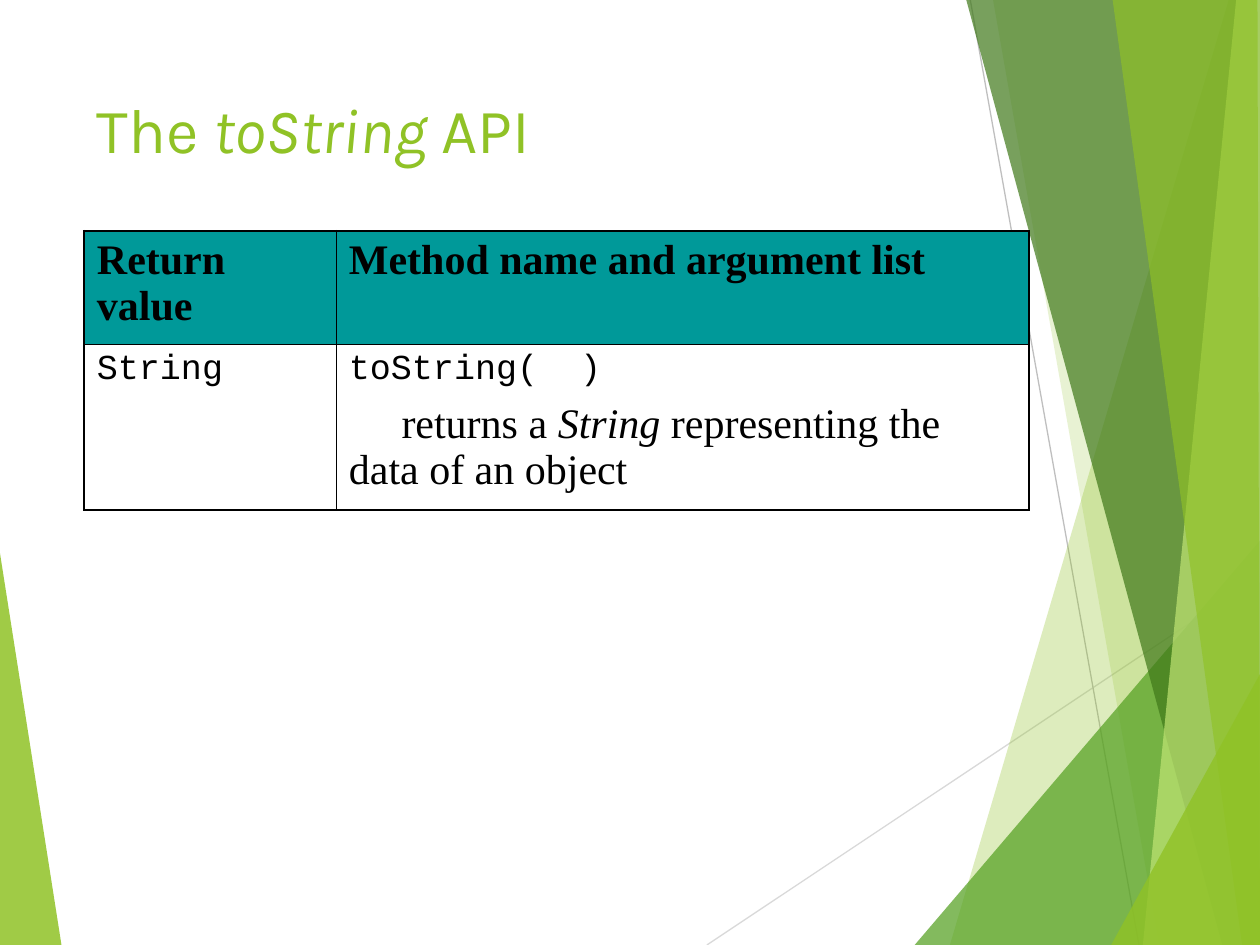
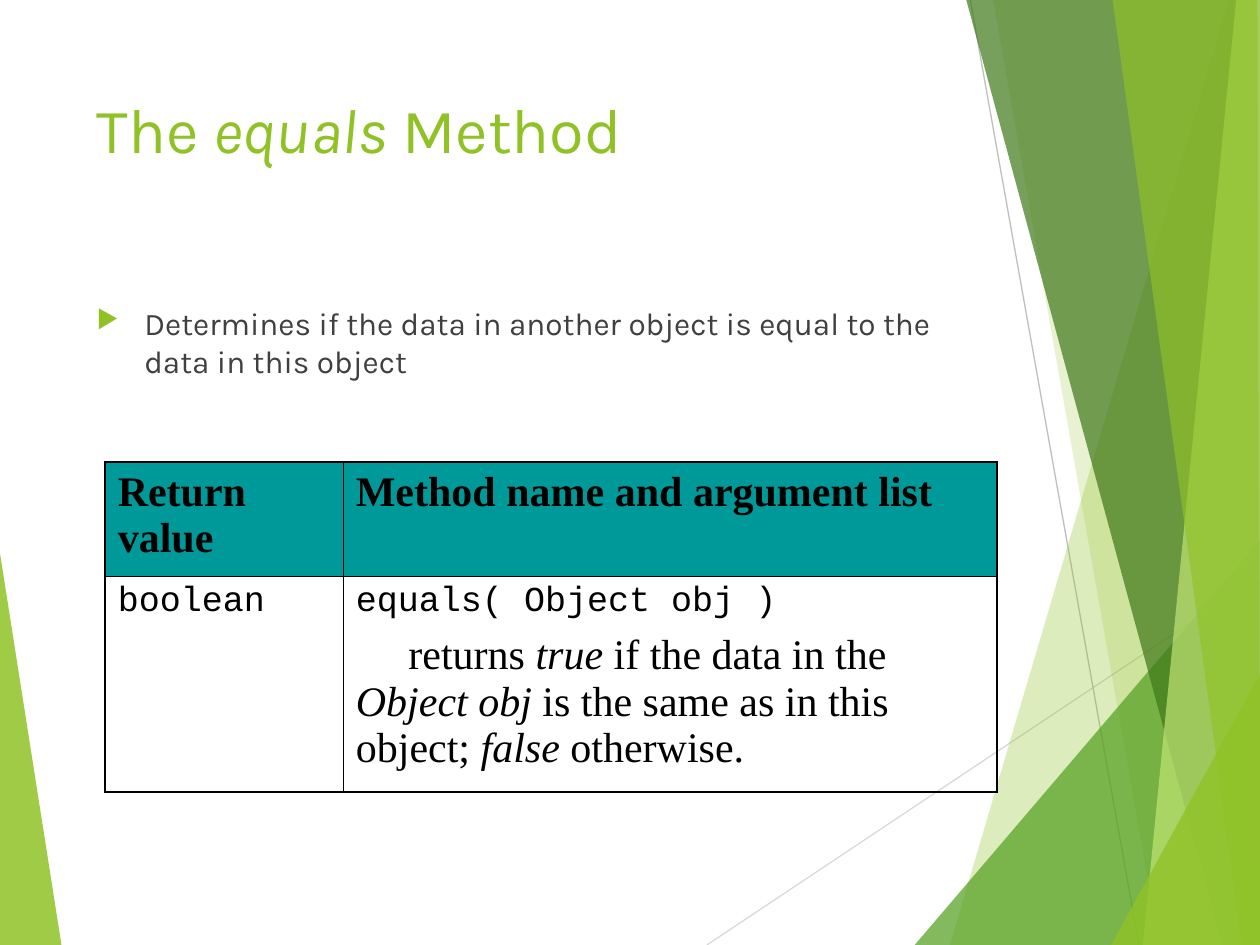
from lxml import etree
from pptx import Presentation, util as u
from pptx.dml.color import RGBColor
from pptx.enum import shapes, text
from pptx.oxml.ns import qn

COLORS = {
    "lime": "90C226", "green": "54A021", "forest": "3F7819", "pale": "C0E474",
    "teal": "009999", "body": "404040", "black": "000000",
    "light_line": "D9D9D9", "dark_line": "BFBFBF",
}
HEADING, SERIF, CODE = "Karla", "Times New Roman", "Courier New"
WIDTH, HEIGHT = 25.4, 19.05
OUTER, INNER = 1.08, 0.45
HEADERS = ("Return value", "Method name and argument list")

LEFT_WEDGE = ("lime", 85, [(0, 11.15), (1.24, HEIGHT), (0, HEIGHT)])
RIGHT_FACETS = [
    ("lime", 30, [(24.77, 0), (19.15, HEIGHT), (WIDTH, HEIGHT), (WIDTH, 0)]),
    ("lime", 20, [(20.02, 0), (23.37, HEIGHT), (WIDTH, HEIGHT), (WIDTH, 0)]),
    ("green", 72, [(18.44, HEIGHT), (WIDTH, 10.9), (WIDTH, HEIGHT)]),
    ("forest", 70, [(19.48, 0), (24.64, HEIGHT), (WIDTH, HEIGHT), (WIDTH, 0)]),
    ("pale", 70, [(24.92, 0), (23.04, HEIGHT), (WIDTH, HEIGHT), (WIDTH, 0)]),
    ("lime", 65, [(22.43, 0), (25.04, HEIGHT), (WIDTH, HEIGHT), (25.35, 0)]),
    ("lime", 80, [(22.4, HEIGHT), (WIDTH, 13.59), (WIDTH, HEIGHT)]),
]
RAYS = [
    ("light_line", (14.25, HEIGHT), (WIDTH, 11.62)),
    ("dark_line", (19.56, 0), (22.96, HEIGHT)),
]


def rgb(name):
    """Return a named colour as an RGBColor."""
    return RGBColor.from_string(COLORS[name])


def add_facet(slide, color, opacity, points):
    """Draw a translucent polygon through points given in centimetres."""
    corners = [(u.Cm(x), u.Cm(y)) for x, y in points]
    builder = slide.shapes.build_freeform(*corners[0], scale=1.0)
    builder.add_line_segments(corners[1:], close=True)
    shape = builder.convert_to_shape()
    shape.shadow.inherit = False
    shape.line.fill.background()
    shape.fill.solid()
    shape.fill.fore_color.rgb = rgb(color)
    tint = shape.fill._xPr.find(qn("a:solidFill"))[0]
    etree.SubElement(tint, qn("a:alpha"), val=str(opacity * 1000))


def add_ray(slide, color, start, end):
    """Draw a thin straight line."""
    ends = [u.Cm(value) for value in (*start, *end)]
    line = slide.shapes.add_connector(shapes.MSO_CONNECTOR.STRAIGHT, *ends)
    line.line.color.rgb = rgb(color)
    line.line.width = u.Pt(0.75)
    etree.SubElement(line._element.spPr, qn("a:effectLst"))


def add_backdrop(slide):
    """Draw the facets and rays that every slide shares."""
    add_facet(slide, *LEFT_WEDGE)
    for ray in RAYS:
        add_ray(slide, *ray)
    for facet in RIGHT_FACETS:
        add_facet(slide, *facet)


def write(paragraph, marked, font, size, color="black", bold=False):
    """Fill a paragraph, setting the parts between asterisks in italics."""
    for index, part in enumerate(marked.split("*")):
        run = paragraph.add_run()
        run.text = part
        run.font.name = font
        run.font.size = u.Pt(size)
        run.font.bold = bold
        run.font.italic = index % 2 == 1
        run.font.color.rgb = rgb(color)


def add_text(slide, top, height, marked, size, color):
    """Add a text box in the main column and return its paragraph."""
    box = slide.shapes.add_textbox(u.Cm(1.7), u.Cm(top), u.Cm(17.63), u.Cm(height))
    box.text_frame.word_wrap = True
    box.text_frame.vertical_anchor = text.MSO_ANCHOR.TOP
    paragraph = box.text_frame.paragraphs[0]
    write(paragraph, marked, HEADING, size, color)
    return paragraph


def add_title(slide, marked):
    """Add the slide title."""
    add_text(slide, 1.7, 2.1, marked, 36, "lime")


def add_bullet(slide, marked):
    """Add a body paragraph with a triangular bullet."""
    paragraph = add_text(slide, 6, 10.77, marked, 18, "body")
    paragraph.space_before = u.Pt(10)
    properties = paragraph._p.get_or_add_pPr()
    properties.set("marL", str(u.Cm(0.96)))
    properties.set("indent", str(u.Cm(-0.96)))
    tint = etree.SubElement(properties, qn("a:buClr"))
    etree.SubElement(tint, qn("a:srgbClr"), val=COLORS["lime"])
    etree.SubElement(properties, qn("a:buSzPct"), val="80000")
    etree.SubElement(properties, qn("a:buChar"), char="▶")


def set_borders(cell, row, column):
    """Give a cell of the two-by-two table thick outer and thin inner borders."""
    properties = cell._tc.get_or_add_tcPr()
    outer_sides = {"L": column == 0, "R": column == 1, "T": row == 0, "B": row == 1}
    for side, is_outer in outer_sides.items():
        width = u.Pt(OUTER if is_outer else INNER)
        line = etree.SubElement(properties, qn(f"a:ln{side}"), w=str(width))
        fill = etree.SubElement(line, qn("a:solidFill"))
        etree.SubElement(fill, qn("a:srgbClr"), val=COLORS["black"])


def add_method_table(slide, left, top, widths, heights, returned, signature, effect):
    """Add the table that documents one method."""
    frame = slide.shapes.add_table(
        2, 2, u.Cm(left), u.Cm(top), u.Cm(sum(widths)), u.Cm(sum(heights)))
    table = frame.table
    table.first_row = table.horz_banding = False
    for index in range(2):
        table.columns[index].width = u.Cm(widths[index])
        table.rows[index].height = u.Cm(heights[index])
    for row, values in enumerate((HEADERS, (returned, signature))):
        for column, value in enumerate(values):
            cell = table.cell(row, column)
            set_borders(cell, row, column)
            paragraph = cell.text_frame.paragraphs[0]
            if row == 0:
                cell.fill.solid()
                cell.fill.fore_color.rgb = rgb("teal")
                write(paragraph, value, SERIF, 24, bold=True)
            else:
                cell.fill.background()
                write(paragraph, value, CODE, 20)
    description = table.cell(1, 1).text_frame.add_paragraph()
    description.space_before = u.Pt(6)
    description._p.get_or_add_pPr().set("indent", str(u.Cm(1.06)))
    write(description, effect, SERIF, 24)


def add_slide(presentation, title):
    """Add a blank slide with the shared backdrop and a title."""
    slide = presentation.slides.add_slide(presentation.slide_layouts[6])
    add_backdrop(slide)
    add_title(slide, title)
    return slide


def main():
    """Build both slides and save them."""
    presentation = Presentation()
    presentation.slide_width = u.Cm(WIDTH)
    presentation.slide_height = u.Cm(HEIGHT)

    slide = add_slide(presentation, "The *toString* API")
    add_method_table(
        slide, 1.7, 4.65, (5.08, 13.97), (2.29, 3.33), "String", "toString(  )",
        "returns a *String* representing the data of an object")

    slide = add_slide(presentation, "The *equals* Method")
    add_bullet(slide, "Determines if the data in another object is equal to the "
                      "data in this object")
    add_method_table(
        slide, 2.12, 9.32, (4.8, 13.18), (2.29, 4.34), "boolean", "equals( Object obj )",
        "returns *true* if the data in the *Object obj* is the same as in this "
        "object;* false* otherwise.")

    presentation.save("out.pptx")


if __name__ == "__main__":
    main()
